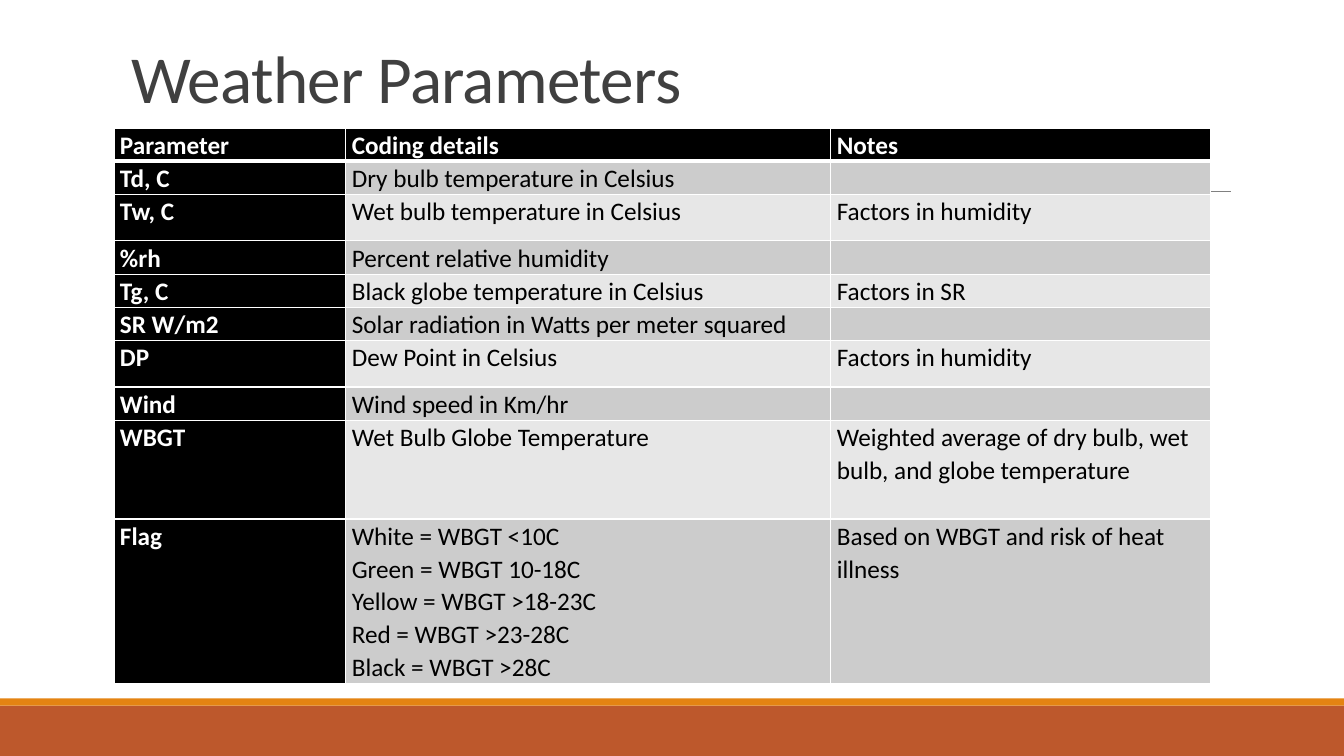
import pptx
import pptx.util
import pptx.dml.color
import pptx.enum.shapes
import pptx.enum.text
import pptx.oxml
import pptx.oxml.ns

Inches = pptx.util.Inches
Pt = pptx.util.Pt

FONT = "Calibri"
WHITE, BLACK = "FFFFFF", "000000"
BANDS = ("E7E7E7", "CCCCCC")
WIDTHS = (2.3, 4.81, 3.77)
# Each row: height, then the text of its cells
ROWS = [
    (0.33, "Parameter", "Coding details", "Notes"),
    (0.33, "Td, C", "Dry bulb temperature in Celsius", ""),
    (0.46, "Tw, C", "Wet bulb temperature in Celsius", "Factors in humidity"),
    (0.33, "%rh", "Percent relative humidity", ""),
    (0.33, "Tg, C", "Black globe temperature in Celsius", "Factors in SR"),
    (0.33, "SR W/m2", "Solar radiation in Watts per meter squared", ""),
    (0.46, "DP", "Dew Point in Celsius", "Factors in humidity"),
    (0.33, "Wind", "Wind speed in Km/hr", ""),
    (0.98, "WBGT", "Wet Bulb Globe Temperature",
     "Weighted average of dry bulb, wet bulb, and globe temperature"),
    (1.63, "Flag",
     "White = WBGT <10C\nGreen = WBGT 10-18C\nYellow = WBGT >18-23C\n"
     "Red = WBGT >23-28C\nBlack = WBGT >28C",
     "Based on WBGT and risk of heat illness"),
]


def color(code):
    return pptx.dml.color.RGBColor.from_string(code)


def paint(item, code):
    item.fill.solid()
    item.fill.fore_color.rgb = color(code)


def style(frame, size, code, space, bold=False):
    for para in frame.paragraphs:
        para.line_spacing = space
        for run in para.runs:
            run.font.name = FONT
            run.font.size = Pt(size)
            run.font.bold = bold
            run.font.color.rgb = color(code)


def add_bar(slide, top, height, code):
    bar = slide.shapes.add_shape(
        pptx.enum.shapes.MSO_SHAPE.RECTANGLE,
        0, Inches(top), Inches(13.33), Inches(height))
    bar.shadow.inherit = False
    paint(bar, code)
    bar.line.fill.background()


def add_rule(slide, left, right, top):
    rule = slide.shapes.add_connector(
        pptx.enum.shapes.MSO_CONNECTOR.STRAIGHT,
        Inches(left), Inches(top), Inches(right), Inches(top))
    rule.line.color.rgb = color("808080")
    rule.line.width = Pt(0.5)
    rule._element.spPr.append(pptx.oxml.parse_xml(
        f"<a:effectLst {pptx.oxml.ns.nsdecls('a')}/>"))


def set_title(slide, text):
    title = slide.shapes.title
    title.left, title.top = Inches(1.2), Inches(0.31)
    title.width, title.height = Inches(11), Inches(1.59)
    frame = title.text_frame
    frame.text = text
    frame.word_wrap = True
    frame.auto_size = pptx.enum.text.MSO_AUTO_SIZE.NONE
    frame.vertical_anchor = pptx.enum.text.MSO_ANCHOR.BOTTOM
    frame.margin_bottom = Inches(0.74)
    style(frame, 48, "404040", 0.85)
    para = frame.paragraphs[0]
    para.alignment = pptx.enum.text.PP_ALIGN.LEFT
    para.runs[0].font._element.set("spc", "-50")


def set_edges(cell, top, bottom):
    props = cell._tc.get_or_add_tcPr()
    for side, width in (("L", 1), ("R", 1), ("T", top), ("B", bottom)):
        props.append(pptx.oxml.parse_xml(
            f'<a:ln{side} {pptx.oxml.ns.nsdecls("a")} w="{Pt(width)}">'
            f'<a:solidFill><a:srgbClr val="{WHITE}"/></a:solidFill>'
            f'</a:ln{side}>'))


def fill_cell(cell, text, row, col):
    head = row == 0 or col == 0
    cell.margin_left = cell.margin_right = Inches(0.06)
    cell.margin_top = cell.margin_bottom = 0
    # A thick line parts the header from the body
    set_edges(cell, 3 if row == 1 else 1, 3 if row == 0 else 1)
    paint(cell, BLACK if head else BANDS[row % 2])
    cell.text_frame.text = text
    style(cell.text_frame, 18, WHITE if head else BLACK, 1.07, head)


def add_grid(slide, left, top):
    height = sum(row[0] for row in ROWS)
    table = slide.shapes.add_table(
        len(ROWS), len(WIDTHS), Inches(left), Inches(top),
        Inches(sum(WIDTHS)), Inches(height)).table
    for col, width in enumerate(WIDTHS):
        table.columns[col].width = Inches(width)
    for row, (height, *texts) in enumerate(ROWS):
        table.rows[row].height = Inches(height)
        for col, text in enumerate(texts):
            fill_cell(table.cell(row, col), text, row, col)


def main():
    deck = pptx.Presentation()
    deck.slide_width, deck.slide_height = Inches(13.33), Inches(7.5)
    slide = deck.slides.add_slide(deck.slide_layouts[5])
    # Footer bands and the rule under the title
    add_bar(slide, 7, 0.5, "BD582C")
    add_bar(slide, 6.93, 0.07, "E48312")
    add_rule(slide, 1.31, 12.21, 1.9)
    # Title and table
    set_title(slide, "Weather Parameters")
    add_grid(slide, 1.13, 1.27)
    deck.save("out.pptx")


if __name__ == "__main__":
    main()
